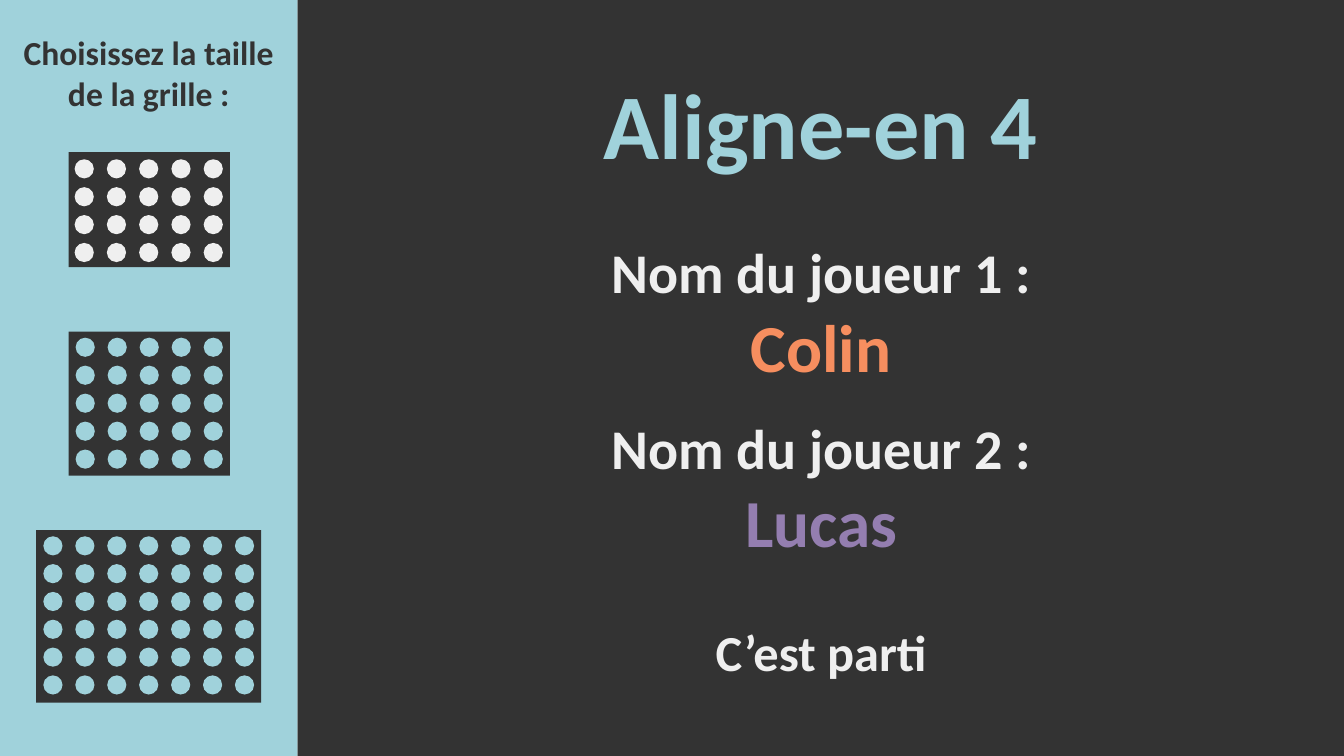
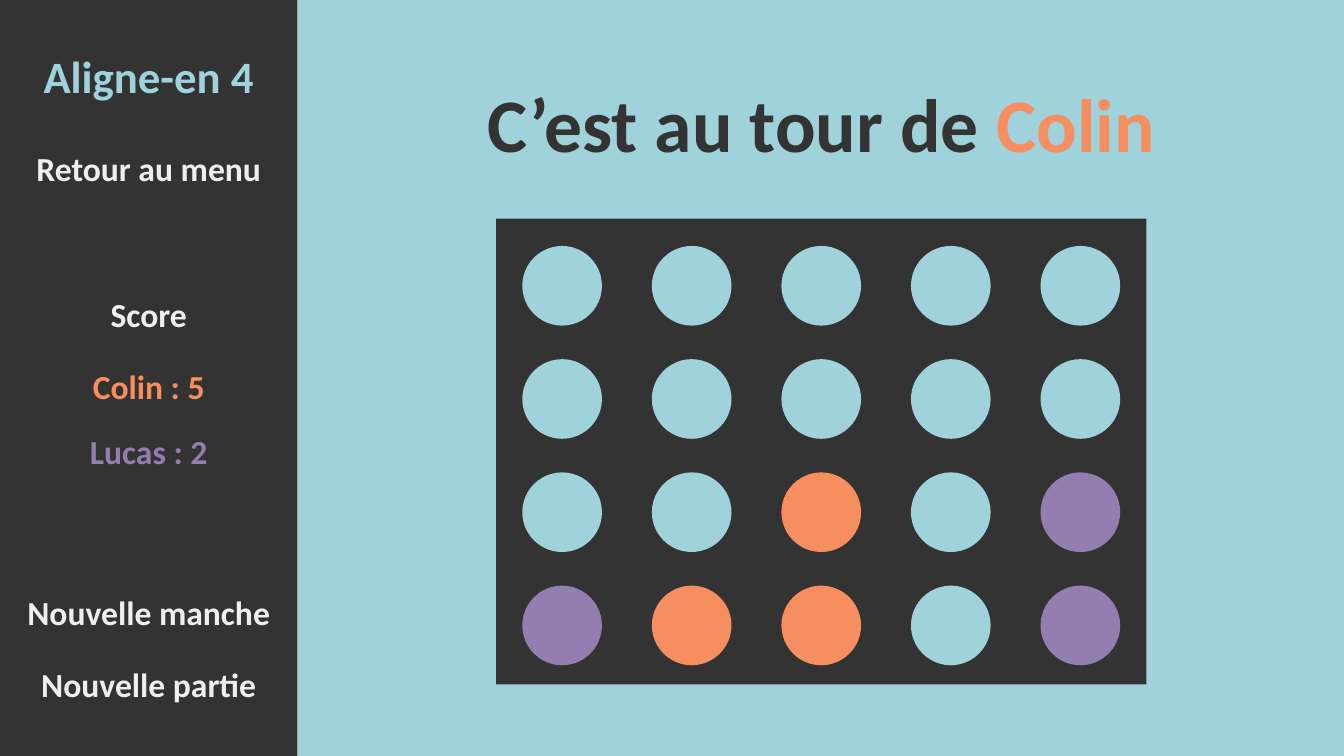
from pptx import Presentation
from pptx.dml.color import RGBColor
from pptx.enum import shapes, text
from pptx.util import Inches, Pt

DARK, BLUE, LIGHT = "333333", "A0D2DB", "EFEFEF"
ORANGE, PURPLE = "F68E5F", "947EB0"
FONT = "Calibri"
SIDE_W = 2.95
DISCS = {"w": LIGHT, "b": BLUE, "o": ORANGE, "p": PURPLE}

# Board: box, first and last disc positions, disc diameter, rows from the top
# Text: box, paragraphs, each a list of (wording, size, colour) runs
SLIDES = [
    {
        "side": BLUE,
        "main": DARK,
        "title": ((5.35, 0.62, 5.58, 1.21), [[("Aligne-en 4", 66, BLUE)]]),
        "boards": [
            ((0.68, 1.51, 1.6, 1.14), (0.74, 1.58), (2.02, 2.41), 0.19, ["wwwww"] * 4),
            ((0.68, 3.29, 1.6, 1.43), (0.75, 3.35), (2.02, 4.46), 0.19, ["bbbbb"] * 5),
            ((0.36, 5.26, 2.23, 1.71), (0.43, 5.32), (2.33, 6.7), 0.19, ["bbbbbbb"] * 6),
        ],
        "texts": [
            ((0, 0.27, SIDE_W, 0.91), [[("Choisissez la taille de la grille :", 24, DARK)]]),
            ((3.87, 2.31, 8.55, 1.58),
             [[("Nom du joueur 1 :", 40, LIGHT)], [("Colin", 48, ORANGE)]]),
            ((3.87, 4.05, 8.55, 1.58),
             [[("Nom du joueur 2 :", 40, LIGHT)], [("Lucas", 48, PURPLE)]]),
            ((4.81, 6.11, 6.67, 0.71), [[("C’est parti", 36, LIGHT)]]),
        ],
    },
    {
        "side": DARK,
        "main": BLUE,
        "title": ((3.87, 0.71, 8.55, 1.01),
                  [[("C’est au tour de ", 54, DARK), ("Colin", 54, ORANGE)]]),
        "boards": [
            ((4.92, 2.17, 6.45, 4.62), (5.18, 2.44), (10.32, 5.81), 0.79,
             ["bbbbb", "bbbbb", "bbobp", "poobp"]),
        ],
        "texts": [
            ((0, 0.43, SIDE_W, 0.64), [[("Aligne-en 4", 32, BLUE)]]),
            ((0, 1.42, SIDE_W, 0.5), [[("Retour au menu", 24, LIGHT)]]),
            ((0, 2.87, SIDE_W, 0.5), [[("Score", 24, LIGHT)]]),
            ((0, 3.58, SIDE_W, 0.5), [[("Colin : 5", 24, ORANGE)]]),
            ((0, 4.23, SIDE_W, 0.5), [[("Lucas : 2", 24, PURPLE)]]),
            ((0, 5.82, SIDE_W, 0.5), [[("Nouvelle manche", 24, LIGHT)]]),
            ((0, 6.54, SIDE_W, 0.5), [[("Nouvelle partie", 24, LIGHT)]]),
        ],
    },
]


def rgb(value):
    return RGBColor.from_string(value)


def add_filled(parent, kind, box, color):
    sp = parent.add_shape(kind, *map(Inches, box))
    sp.shadow.inherit = False
    sp.fill.solid()
    sp.fill.fore_color.rgb = rgb(color)
    sp.line.fill.background()


def add_board(slide, box, first, last, size, rows):
    """Draw a game board as one group, its discs evenly spaced from first to last."""
    group = slide.shapes.add_group_shape().shapes
    add_filled(group, shapes.MSO_SHAPE.RECTANGLE, box, DARK)
    step_x = (last[0] - first[0]) / (len(rows[0]) - 1)
    step_y = (last[1] - first[1]) / (len(rows) - 1)
    for i, row in enumerate(rows):
        for j, disc in enumerate(row):
            place = (first[0] + j * step_x, first[1] + i * step_y, size, size)
            add_filled(group, shapes.MSO_SHAPE.OVAL, place, DISCS[disc])


def write(sp, box, paragraphs):
    """Place a text shape and fill it with centred bold text."""
    for name, value in zip(("left", "top", "width", "height"), box):
        setattr(sp, name, Inches(value))
    tf = sp.text_frame
    frame_format = {
        "word_wrap": True,
        "auto_size": text.MSO_AUTO_SIZE.SHAPE_TO_FIT_TEXT,
        "vertical_anchor": text.MSO_ANCHOR.TOP,
    }
    for name, value in frame_format.items():
        setattr(tf, name, value)
    for i, runs in enumerate(paragraphs):
        p = tf.add_paragraph() if i else tf.paragraphs[0]
        p.alignment = text.PP_ALIGN.CENTER
        for wording, size, color in runs:
            r = p.add_run()
            r.text = wording
            for name, value in {"name": FONT, "size": Pt(size), "bold": True}.items():
                setattr(r.font, name, value)
            r.font.color.rgb = rgb(color)


def add_slide(prs, content):
    slide = prs.slides.add_slide(prs.slide_layouts[5])
    rect = shapes.MSO_SHAPE.RECTANGLE
    add_filled(slide.shapes, rect, (SIDE_W, 0, 13.33 - SIDE_W, 7.5), content["main"])
    add_filled(slide.shapes, rect, (0, 0, SIDE_W, 7.5), content["side"])
    title = slide.shapes.title
    title.element.getparent().append(title.element)  # in front of the panels
    write(title, *content["title"])
    for board in content["boards"]:
        add_board(slide, *board)
    for box, paragraphs in content["texts"]:
        write(slide.shapes.add_textbox(*map(Inches, box)), box, paragraphs)


def main():
    prs = Presentation()
    prs.slide_width, prs.slide_height = Inches(13.33), Inches(7.5)
    for content in SLIDES:
        add_slide(prs, content)
    prs.save("out.pptx")


if __name__ == "__main__":
    main()
